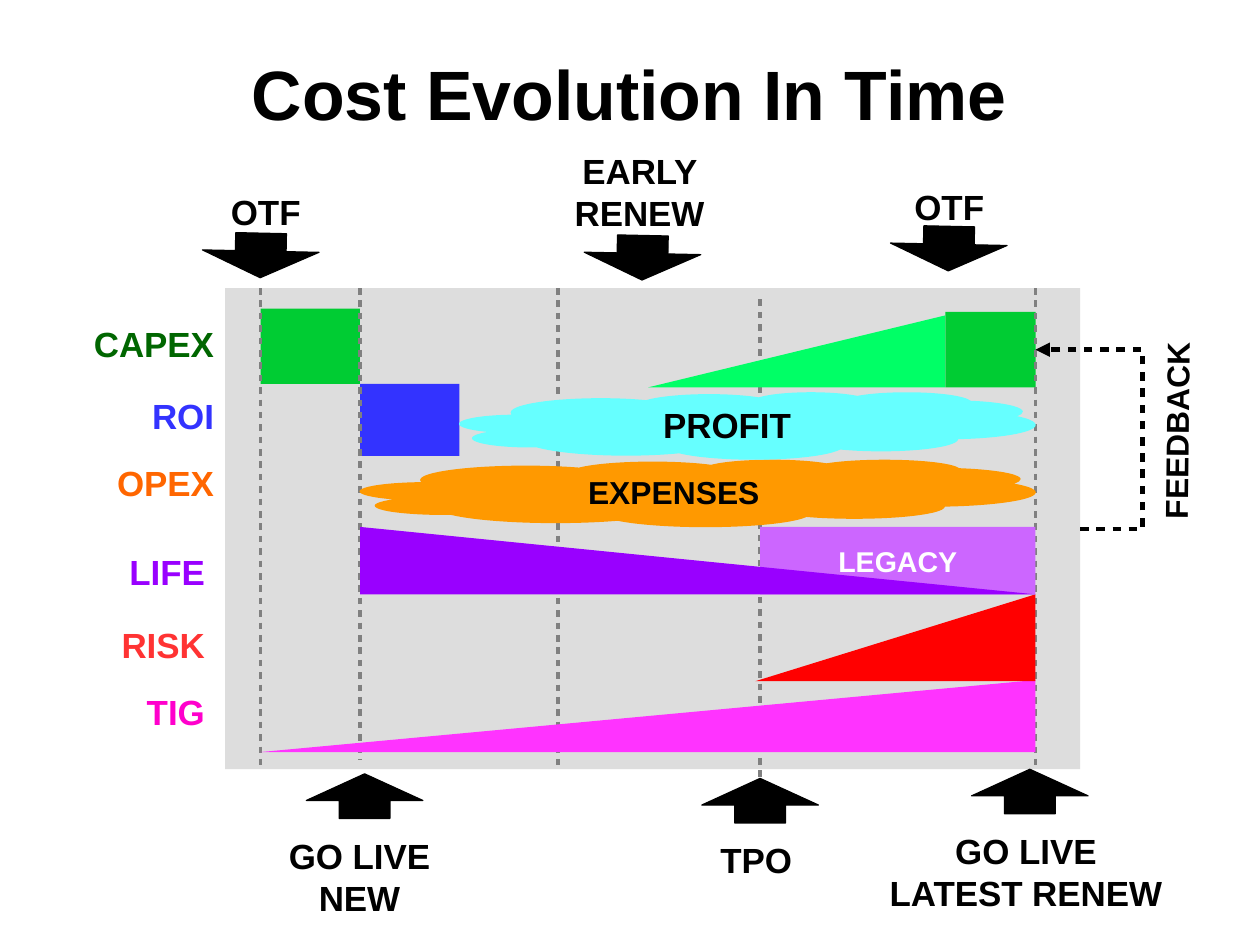
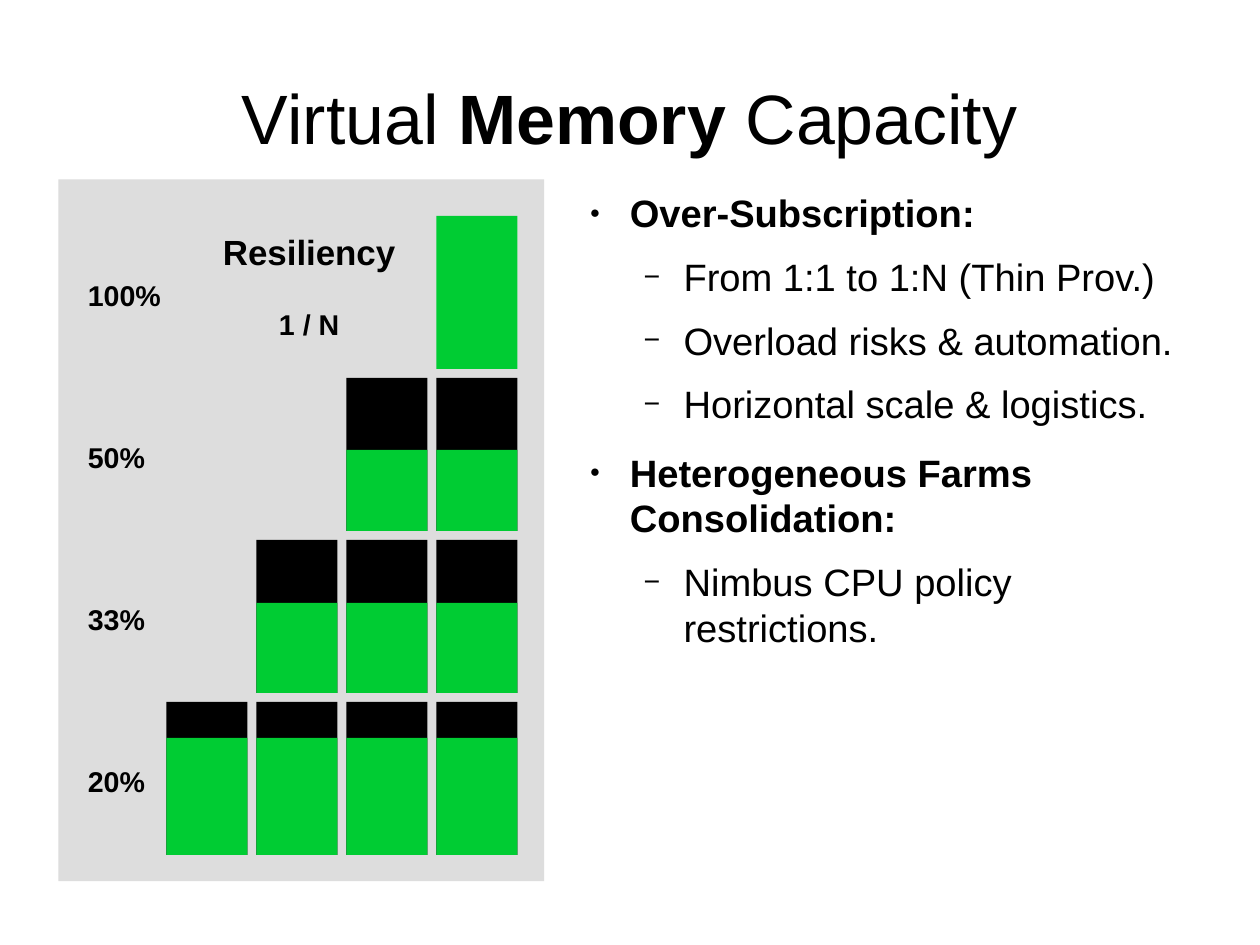
from dataclasses import dataclass

from lxml import etree
from pptx import Presentation
from pptx.dml.color import RGBColor
from pptx.enum.shapes import MSO_CONNECTOR, MSO_SHAPE
from pptx.enum.text import MSO_ANCHOR, PP_ALIGN
from pptx.oxml.ns import qn
from pptx.util import Cm, Inches, Pt

RECTANGLE, TRIANGLE = MSO_SHAPE.RECTANGLE, MSO_SHAPE.RIGHT_TRIANGLE
CLOUD, ARROW = MSO_SHAPE.CLOUD, MSO_SHAPE.UP_ARROW
STRAIGHT, ELBOW = MSO_CONNECTOR.STRAIGHT, MSO_CONNECTOR.ELBOW
LEFT, CENTER, RIGHT = PP_ALIGN.LEFT, PP_ALIGN.CENTER, PP_ALIGN.RIGHT
TOP, MIDDLE = MSO_ANCHOR.TOP, MSO_ANCHOR.MIDDLE


@dataclass(frozen=True)
class Theme:
    font: str = "Arial"
    ink: str = "000000"
    white: str = "FFFFFF"
    panel: str = "DDDDDD"
    guide: str = "808080"
    green: str = "00CC33"
    blue: str = "3333FF"
    purple: str = "9900FF"
    title: int = 44
    body: int = 24
    label: int = 22
    note: int = 20
    small: int = 18


THEME = Theme()
SLIDE_WIDTH, SLIDE_HEIGHT = Cm(28), Cm(21)
INSETS = (0.1, 0.05)

# Cost chart: moments on the time axis and the edges of the panel
START, LIVE, MIDWAY, TPO, LATEST = 2.28, 3.15, 4.88, 6.65, 9.06
COST_PANEL = (1.97, 2.52, 7.48, 4.21)
PANEL_TOP, PANEL_BOTTOM = 2.52, 6.73

ROW_LABELS = [  # text, colour, right edge, top
    ("CAPEX", "006600", 1.97, 2.77), ("ROI", THEME.blue, 1.97, 3.4),
    ("OPEX", "FF6600", 1.97, 3.99), ("LIFE", THEME.purple, 1.89, 4.77),
    ("RISK", "FF3333", 1.89, 5.41), ("TIG", "FF00CC", 1.89, 5.99),
]
BLOCKS = [  # left, right, top, height, colour
    (START, LIVE, 2.7, 0.66, THEME.green),
    (LIVE, 4.02, 3.36, 0.63, THEME.blue),
    (8.27, LATEST, 2.73, 0.66, THEME.green),
]
GUIDES = [  # x, top, bottom
    (LIVE, PANEL_TOP, 6.65), (START, PANEL_TOP, PANEL_BOTTOM),
    (MIDWAY, PANEL_TOP, PANEL_BOTTOM), (TPO, 2.62, 6.91),
    (LATEST, PANEL_TOP, PANEL_BOTTOM),
]
TRENDS = [  # kind, left, right, top, height, colour, flipped, text, size, ink
    (TRIANGLE, START, LATEST, 5.95, 0.63, "FF33FF", True, "", 0, ""),
    (TRIANGLE, 6.61, LATEST, 5.2, 0.76, "FF0000", True, "", 0, ""),
    (TRIANGLE, 5.67, 8.27, 2.76, 0.63, "00FF66", True, "", 0, ""),
    (CLOUD, LIVE, LATEST, 4.02, 0.59, "FF9900", False,
     "EXPENSES", THEME.note, THEME.ink),
    (CLOUD, 4.02, LATEST, 3.43, 0.59, "66FFFF", False,
     "PROFIT", THEME.label, THEME.ink),
    (RECTANGLE, TPO, LATEST, 4.61, 0.59, "CC66FF", False,
     "LEGACY", THEME.small, THEME.white),
    (TRIANGLE, LIVE, LATEST, 4.61, 0.59, THEME.purple, False, "", 0, ""),
]
ARROW_SIZE = (1.02, 0.39)
DOWN = 181.2
MILESTONES = [  # lines, label left, label top, label width, arrow left, arrow top, rotation
    (["OTF"], 1.38, 1.62, 1.89, 1.77, 2.04, DOWN),
    (["EARLY RENEW"], 4.65, 1.26, 1.89, 5.11, 2.06, DOWN),
    (["OTF"], 7.36, 1.57, 1.89, 7.79, 1.98, DOWN),
    (["GO LIVE", "NEW"], 2.2, 7.25, 1.89, 2.68, 6.77, 0),
    (["TPO"], 5.67, 7.29, 1.89, 6.14, 6.81, 0),
    (["GO LIVE", "LATEST RENEW"], 7.48, 7.21, 2.99, 8.5, 6.73, 0),
]

# Memory chart: each row has one more server than the row above; grid in centimetres
MEMORY_PANEL = (0.51, 1.57, 4.25, 6.14)
MEMORY_ROWS = [("100%", 3.4), ("50%", 1.8), ("33%", 2), ("20%", 2.6)]
SERVER_WIDTH, SERVER_HEIGHT, GAP = 1.8, 3.4, 0.2
LAST_COLUMN, FIRST_ROW = 9.7, 4.8
CM_PER_INCH = 2.54
BULLETS = [  # level, text
    (0, "Over-Subscription:"),
    (1, "From 1:1 to 1:N (Thin Prov.)"),
    (1, "Overload risks & automation."),
    (1, "Horizontal scale & logistics."),
    (0, "Heterogeneous Farms Consolidation:"),
    (1, "Nimbus CPU policy restrictions."),
]
BULLET_STYLES = [  # sign, size in percent, indent, space before, bold
    ("●", 45, 0.47, 14.2, True),
    ("−", 75, 0.94, 11.3, False),
]
HANGING = 0.35


def rgb(value):
    return RGBColor.from_string(value)


def add_xml(parent, tag, **attributes):
    return etree.SubElement(
        parent, qn(tag), {name: str(value) for name, value in attributes.items()})


def write_runs(paragraph, runs, size, color, align=LEFT):
    """Fill a paragraph from (text, bold) pairs."""
    paragraph.alignment = align
    for text, bold in runs:
        run = paragraph.add_run()
        run.text = text
        font = run.font
        font.name, font.size, font.bold = THEME.font, Pt(size), bold
        font.color.rgb = rgb(color)


def set_frame(shape, insets=INSETS, anchor=TOP, wrap=True):
    frame = shape.text_frame
    frame.word_wrap, frame.vertical_anchor = wrap, anchor
    frame.margin_left = frame.margin_right = Inches(insets[0])
    frame.margin_top = frame.margin_bottom = Inches(insets[1])
    return frame


def add_text(slide, box, lines, size=THEME.label, color=THEME.ink, align=LEFT,
             insets=INSETS, anchor=TOP, rotation=0):
    """Add a text box; a line is a bold string or a list of (text, bold) runs."""
    shape = slide.shapes.add_textbox(*map(Inches, box))
    shape.rotation = rotation
    frame = set_frame(shape, insets, anchor)
    for index, line in enumerate(lines):
        paragraph = frame.add_paragraph() if index else frame.paragraphs[0]
        runs = [(line, True)] if isinstance(line, str) else line
        write_runs(paragraph, runs, size, color, align)
    return shape


def add_block(slide, kind, box, color):
    shape = slide.shapes.add_shape(kind, *map(Inches, box))
    shape.shadow.inherit = False
    shape.fill.solid()
    shape.fill.fore_color.rgb = rgb(color)
    shape.line.fill.background()
    return shape


def add_dashed_line(slide, kind, start, end, color, width):
    connector = slide.shapes.add_connector(kind, *map(Inches, (*start, *end)))
    connector.line.color.rgb = rgb(color)
    connector.line.width = Pt(width)
    dashes = add_xml(connector.line._get_or_add_ln(), "a:custDash")
    add_xml(dashes, "a:ds", d=180000, sp=160000)
    add_xml(connector._element.spPr, "a:effectLst")
    return connector


def add_title(slide, top, runs):
    add_text(slide, (0.55, top, 9.92, 1.38), [runs],
             size=THEME.title, align=CENTER, insets=(0, 0), anchor=MIDDLE)


def add_feedback(slide):
    connector = add_dashed_line(
        slide, ELBOW, (9.45, 4.63), (LATEST, 3.06), THEME.ink, 3)
    add_xml(connector.line._get_or_add_ln(), "a:tailEnd", type="triangle")
    geometry = connector._element.spPr.find(qn("a:prstGeom"))
    adjustments = geometry.find(qn("a:avLst"))
    if adjustments is None:
        adjustments = add_xml(geometry, "a:avLst")
    add_xml(adjustments, "a:gd", name="adj1", fmla="val -140000")
    add_text(slide, (9.52, 3.38, 1.89, 0.78), ["FEEDBACK"],
             size=THEME.note, align=CENTER, rotation=270.6)


def build_cost_slide(slide):
    add_title(slide, 0.12, [("Cost Evolution In Time", True)])
    add_block(slide, RECTANGLE, COST_PANEL, THEME.panel)
    for left, right, top, height, color in BLOCKS:
        add_block(slide, RECTANGLE, (left, top, right - left, height), color)
    for text, color, right, top in ROW_LABELS:
        add_text(slide, (right - 1.42, top, 1.42, 0.47), [text],
                 color=color, align=RIGHT)
    for x, top, bottom in GUIDES:
        add_dashed_line(slide, STRAIGHT, (x, top), (x, bottom), THEME.guide, 2.3)
    for kind, left, right, top, height, color, flipped, text, size, ink in TRENDS:
        shape = add_block(slide, kind, (left, top, right - left, height), color)
        if flipped:
            shape._element.spPr.xfrm.set("flipH", "1")
        if text:
            frame = set_frame(shape, anchor=MIDDLE, wrap=False)
            write_runs(frame.paragraphs[0], [(text, True)], size, ink, CENTER)
    for lines, left, top, width, arrow_left, arrow_top, rotation in MILESTONES:
        arrow = add_block(slide, ARROW, (arrow_left, arrow_top, *ARROW_SIZE), THEME.ink)
        arrow.line.color.rgb = rgb(THEME.ink)
        arrow.line.width = 0
        arrow.adjustments[0], arrow.adjustments[1] = 0.435, 0.598
        arrow.rotation = rotation
        add_text(slide, (left, top, width, 0.78), lines, align=CENTER)
    add_feedback(slide)


def add_bullets(slide, box):
    frame = set_frame(slide.shapes.add_textbox(*map(Inches, box)), (0, 0))
    for index, (level, text) in enumerate(BULLETS):
        sign, percent, indent, space, bold = BULLET_STYLES[level]
        paragraph = frame.add_paragraph() if index else frame.paragraphs[0]
        properties = paragraph._p.get_or_add_pPr()
        properties.set("marL", str(Inches(indent)))
        properties.set("indent", str(-Inches(HANGING)))
        add_xml(add_xml(properties, "a:buClr"), "a:srgbClr", val=THEME.ink)
        add_xml(properties, "a:buSzPct", val=percent * 1000)
        add_xml(properties, "a:buFont", typeface=THEME.font)
        add_xml(properties, "a:buChar", char=sign)
        paragraph.level = level
        if index:
            paragraph.space_before = Pt(space)
        write_runs(paragraph, [(text, bold)], THEME.body, THEME.ink)


def add_server_part(slide, left, top, height, color):
    """Add one part of a server column, measured in centimetres."""
    box = (left, top, SERVER_WIDTH, height)
    add_block(slide, RECTANGLE, [length / CM_PER_INCH for length in box], color)


def build_memory_slide(slide):
    add_block(slide, RECTANGLE, MEMORY_PANEL, THEME.panel)
    add_title(slide, 0.33, [("Virtual ", False), ("Memory", True), (" Capacity", False)])
    for row, (label, used) in enumerate(MEMORY_ROWS):
        top = FIRST_ROW + row * (SERVER_HEIGHT + GAP)
        add_text(slide, (0.67, top / CM_PER_INCH + 0.49, 0.94, 0.38), [label],
                 size=THEME.small)
        free = SERVER_HEIGHT - used
        for column in range(row + 1):
            left = LAST_COLUMN - column * (SERVER_WIDTH + GAP)
            if free:
                add_server_part(slide, left, top, SERVER_HEIGHT, THEME.ink)
            add_server_part(slide, left, top + free, used, THEME.green)
    heading = add_text(slide, (1.65, 1.97, 2.11, 1), ["Resiliency"], align=CENTER)
    ratio = heading.text_frame.add_paragraph()
    ratio.space_before = Pt(21.6)
    write_runs(ratio, [("1 / N", True)], THEME.small, THEME.ink, CENTER)
    add_bullets(slide, (5.04, 1.66, 5.59, 4.79))


def main():
    presentation = Presentation()
    presentation.slide_width, presentation.slide_height = SLIDE_WIDTH, SLIDE_HEIGHT
    blank = presentation.slide_layouts[6]
    for build in (build_cost_slide, build_memory_slide):
        build(presentation.slides.add_slide(blank))
    presentation.save("out.pptx")


if __name__ == "__main__":
    main()
